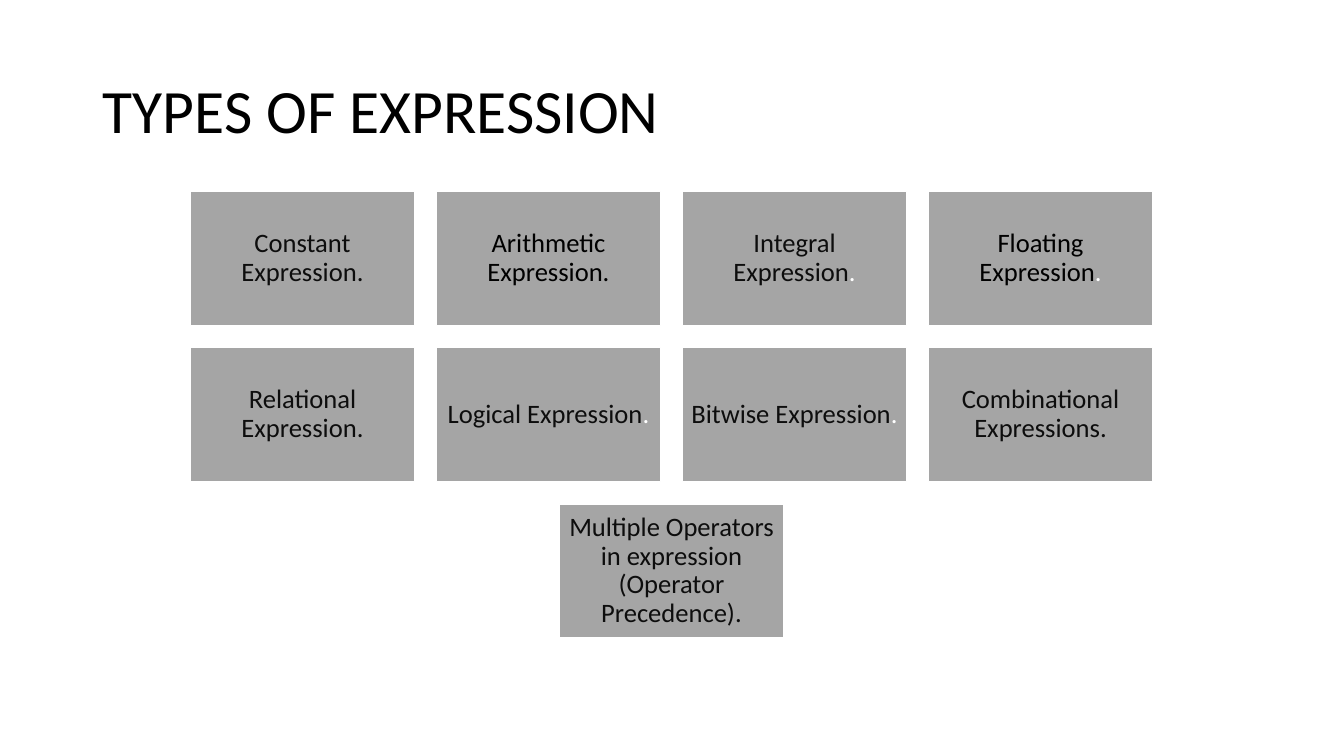
from pptx import Presentation
from pptx.dml.color import RGBColor
from pptx.enum.shapes import MSO_SHAPE as Shape
from pptx.enum.text import MSO_ANCHOR as Anchor, PP_ALIGN as Align
from pptx.util import Inches, Pt

BLACK, DARK, WHITE, GREY = "000000", "0D0D0D", "FFFFFF", "A5A5A5"
BOX_WIDTH, BOX_HEIGHT = 2.22, 1.33
COLUMN_STEP, ROW_STEP = 2.44, 1.55
GRID_CENTER, GRID_TOP = 6.66, 1.9

EXPRESSION_ROWS = [
    [
        [("Constant Expression.", DARK)],
        [("Arithmetic Expression.", BLACK)],
        [("Integral Expression", DARK), (".", WHITE)],
        [("Floating Expression", BLACK), (".", WHITE)],
    ],
    [
        [("Relational Expression.", DARK)],
        [("Logical Expression", DARK), (".", WHITE)],
        [("Bitwise Expression", DARK), (".", WHITE)],
        [("Combinational Expressions.", DARK)],
    ],
    [[("Multiple Operators in expression (Operator Precedence).", DARK)]],
]


def rgb(value):
    """Turn a hex string into a colour."""
    return RGBColor.from_string(value)


def add_text(paragraph, text, size, color=BLACK, align=Align.LEFT):
    """Append a formatted run to a paragraph."""
    paragraph.alignment = align
    paragraph.line_spacing = 0.9
    run = paragraph.add_run()
    run.text = text
    run.font.name = "Calibri"
    run.font.size = Pt(size)
    run.font.color.rgb = rgb(color)


def set_title(slide, text):
    """Place and fill the title placeholder."""
    title = slide.shapes.title
    title.left, title.top = Inches(0.92), Inches(0.4)
    title.width, title.height = Inches(11.5), Inches(1.45)
    title.text_frame.vertical_anchor = Anchor.MIDDLE
    add_text(title.text_frame.paragraphs[0], text, size=44)


def add_expression_box(slide, left, top, label):
    """Draw one grey box with its centred label."""
    box = slide.shapes.add_shape(Shape.RECTANGLE, Inches(left), Inches(top),
                                 Inches(BOX_WIDTH), Inches(BOX_HEIGHT))
    box.shadow.inherit = False
    box.fill.solid()
    box.fill.fore_color.rgb = rgb(GREY)
    box.line.color.rgb = rgb(WHITE)
    box.line.width = Pt(1)
    frame = box.text_frame
    frame.word_wrap = True
    frame.vertical_anchor = Anchor.MIDDLE
    frame.margin_left = frame.margin_right = Inches(0.08)
    frame.margin_top = frame.margin_bottom = Inches(0.08)
    for text, color in label:
        add_text(frame.paragraphs[0], text, size=19, color=color, align=Align.CENTER)


def add_expression_grid(slide, rows):
    """Draw the rows of boxes, each row centred."""
    for row_index, labels in enumerate(rows):
        row_width = (len(labels) - 1) * COLUMN_STEP + BOX_WIDTH
        row_left = GRID_CENTER - row_width / 2
        for column, label in enumerate(labels):
            add_expression_box(slide, row_left + column * COLUMN_STEP,
                               GRID_TOP + row_index * ROW_STEP, label)


def main():
    """Build the slide and save it."""
    deck = Presentation()
    deck.slide_width, deck.slide_height = Inches(13.33), Inches(7.5)
    slide = deck.slides.add_slide(deck.slide_layouts.get_by_name("Title Only"))
    set_title(slide, "TYPES OF EXPRESSION")
    add_expression_grid(slide, EXPRESSION_ROWS)
    deck.save("out.pptx")


if __name__ == "__main__":
    main()
